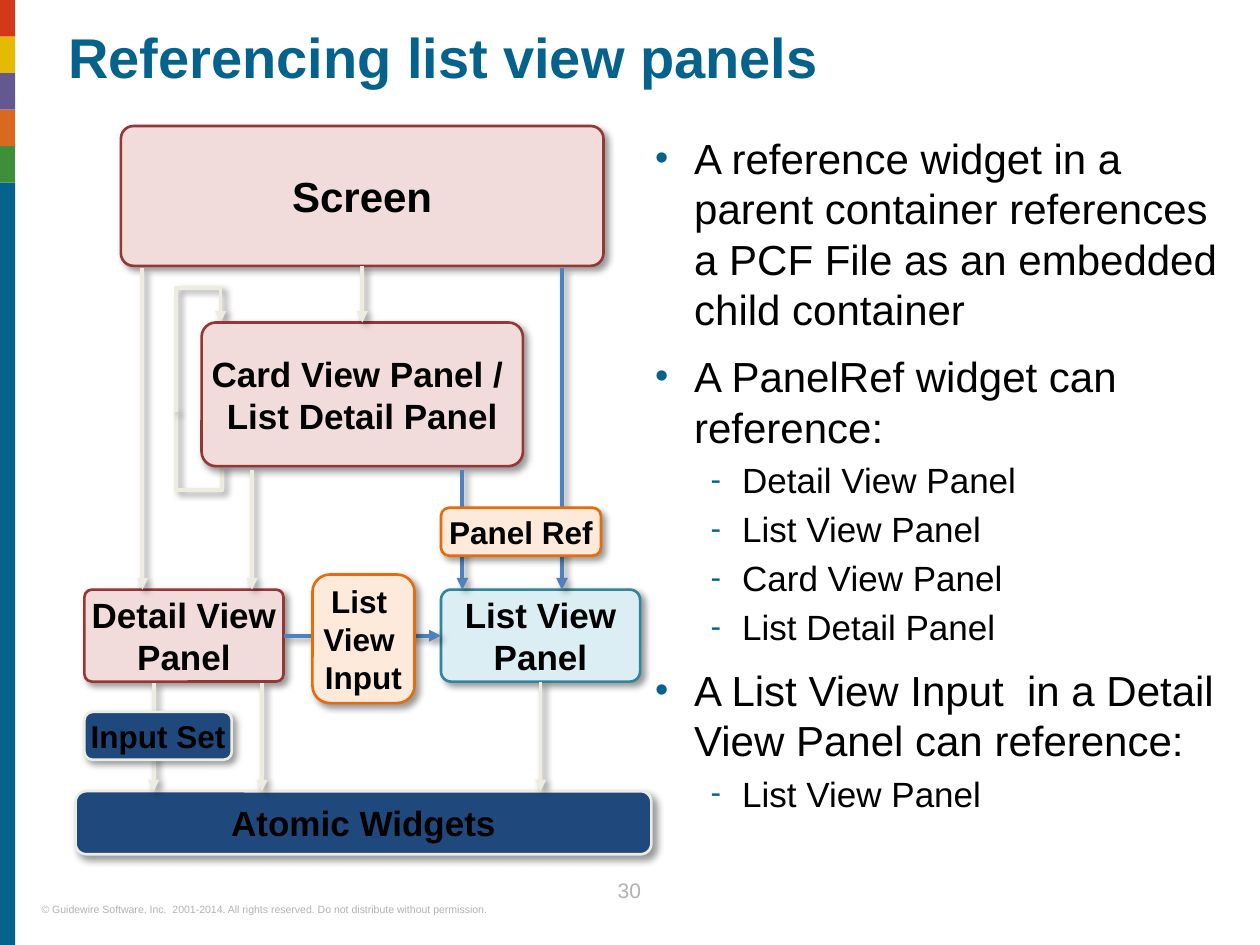
"""Builds the slide on referencing list view panels."""
from dataclasses import dataclass
from typing import Optional

from lxml.etree import SubElement
from pptx import Presentation
from pptx.dml.color import RGBColor
from pptx.enum.shapes import MSO_CONNECTOR as Connector, MSO_SHAPE as Preset
from pptx.enum.text import MSO_ANCHOR as Anchor, PP_ALIGN as Align
from pptx.oxml.ns import qn
from pptx.util import Inches, Pt

SLIDE_WIDTH, SLIDE_HEIGHT = Inches(10), Inches(7.5)
COLUMNS = 100
UNIT = SLIDE_WIDTH // COLUMNS
TOP, LEFT, BOTTOM, RIGHT = range(4)


@dataclass(frozen=True)
class Theme:
    font: str = "Arial"
    accent: str = "04628C"
    text: str = "000000"
    muted: str = "B2B2B2"
    pale: str = "EEECE1"
    blue: str = "4F81BD"
    navy: str = "1F497D"
    pink: str = "F2DCDB"
    red: str = "953735"
    aqua: str = "DBEEF4"
    teal: str = "31859C"
    peach: str = "FDEADA"
    orange: str = "E46C0A"
    stripes: tuple = ("D33819", "E5BA03", "645893", "D8691E", "3F8E39")
    title_size: float = 32
    large: float = 24
    medium: float = 20
    small: float = 18
    number_size: float = 12
    footer_size: float = 6
    box_line: float = 1.5
    arrow_line: float = 2.25


THEME = Theme()


@dataclass(frozen=True)
class Box:
    text: str
    left: float
    top: float
    width: float
    height: float
    fill: str
    line: str
    size: float = THEME.medium
    corner: float = 0.17


@dataclass(frozen=True)
class Arrow:
    start: tuple
    end: tuple
    color: str = THEME.pale
    source: Optional[tuple] = None
    target: Optional[tuple] = None


@dataclass(frozen=True)
class Elbow:
    start: tuple
    end: tuple
    rotation: int
    adjust: float
    arrow: bool


@dataclass(frozen=True)
class Bullet:
    text: str
    level: int = 0


PANELS = {
    "screen": Box("Screen", 9.6, 10, 38.3, 11.1, THEME.pink, THEME.red, THEME.large, 0.09),
    "card": Box("Card View Panel / \nList Detail Panel", 16, 25.6, 25.5, 11.4, THEME.pink, THEME.red, corner=0.1),
    "detail": Box("Detail View\nPanel", 6.7, 46.8, 15.8, 7.3, THEME.pink, THEME.red, corner=0.08),
    "list": Box("List View\nPanel", 35, 46.8, 15.8, 7.3, THEME.aqua, THEME.teal, corner=0.11),
    "atomic": Box("Atomic Widgets", 6, 62.8, 45.7, 5, THEME.navy, THEME.pale),
}
LABELS = (
    Box("Input Set", 6.7, 56.5, 11.7, 3.8, THEME.navy, THEME.pale, THEME.small),
    Box("Panel Ref", 35, 40.3, 12.7, 3.8, THEME.peach, THEME.orange, THEME.small),
    Box("List \nView \nInput", 24.8, 45.6, 8.1, 10.2, THEME.peach, THEME.orange, THEME.small),
)
ARROWS = (
    Arrow((28.8, 21.1), (28.8, 25.6), source=("screen", BOTTOM), target=("card", TOP)),
    Arrow((36.7, 37.3), (36.7, 46.8), THEME.blue),
    Arrow((20, 37.3), (20, 46.8)),
    Arrow((11.3, 21.3), (11.3, 46.8)),
    Arrow((44.6, 21.3), (44.6, 46.8), THEME.blue),
    Arrow((20.8, 54.2), (20.8, 62.8)),
    Arrow((42.9, 54.1), (42.9, 62.8), source=("list", BOTTOM)),
    Arrow((12.2, 54.2), (12.2, 62.8)),
    Arrow((22.5, 50.5), (35, 50.5), THEME.blue, ("detail", RIGHT), ("list", LEFT)),
)
ELBOWS = (
    Elbow((13.6, 36.5), (18, 32.9), 270, -0.46, False),
    Elbow((12.2, 27.4), (19.3, 30.9), 90, -0.39, True),
)
BULLETS = (
    Bullet("A reference widget in a parent container references a PCF File as an embedded child container"),
    Bullet("A PanelRef widget can reference:"),
    Bullet("Detail View Panel", 1),
    Bullet("List View Panel", 1),
    Bullet("Card View Panel", 1),
    Bullet("List Detail Panel", 1),
    Bullet("A List View Input  in a Detail View Panel can reference:"),
    Bullet("List View Panel", 1),
)


def grid(*values: float) -> list:
    """Turn grid units into slide lengths."""
    return [round(value * UNIT) for value in values]


def style(paragraph, size: float, color: str, bold: bool = False) -> None:
    """Set the font of a whole paragraph."""
    font = paragraph.font
    font.name, font.size, font.bold = THEME.font, Pt(size), bold
    font.color.rgb = RGBColor.from_string(color)


def add_shadow(properties) -> None:
    """Give shape properties a soft shadow to the lower right."""
    effects = properties.find(qn("a:effectLst"))
    if effects is None:
        effects = SubElement(properties, qn("a:effectLst"))
    shadow = SubElement(effects, qn("a:outerShdw"), blurRad=str(Pt(4)), dist=str(Pt(3)),
                        dir="2700000", algn="tl", rotWithShape="0")
    color = SubElement(shadow, qn("a:srgbClr"), val=THEME.text)
    SubElement(color, qn("a:alpha"), val="40000")


def add_stripe(slide, top: float, height: float, color: str) -> None:
    """Draw one block of the colour bar at the left edge."""
    shape = slide.shapes.add_shape(Preset.RECTANGLE, *grid(0, top, 1.2, height))
    shape.shadow.inherit = False
    shape.fill.solid()
    shape.fill.fore_color.rgb = RGBColor.from_string(color)
    shape.line.fill.background()


def add_text(slide, area: tuple, inset: float = 0):
    """Add a wrapping text box and return its frame."""
    frame = slide.shapes.add_textbox(*grid(*area)).text_frame
    frame.word_wrap = True
    frame.margin_left = frame.margin_right = 0
    frame.margin_top = frame.margin_bottom = Inches(inset)
    return frame


def add_line(slide, kind, start: tuple, end: tuple, color: str, arrowhead: Optional[str]):
    """Draw a shadowed connector with an optional arrowhead."""
    connector = slide.shapes.add_connector(kind, *grid(*start, *end))
    connector.line.color.rgb = RGBColor.from_string(color)
    connector.line.width = Pt(THEME.arrow_line)
    properties = connector._element.spPr
    if arrowhead:
        SubElement(properties.find(qn("a:ln")), qn(arrowhead), type="triangle")
    add_shadow(properties)
    return connector


def add_elbow(slide, elbow: Elbow) -> None:
    """Draw half of the loop beside the card view panel."""
    head = "a:headEnd" if elbow.arrow else None
    connector = add_line(slide, Connector.ELBOW, elbow.start, elbow.end, THEME.pale, head)
    properties = connector._element.spPr
    properties.find(qn("a:xfrm")).set("rot", str(elbow.rotation * 60000))
    adjustments = properties.find(qn("a:prstGeom")).find(qn("a:avLst"))
    SubElement(adjustments, qn("a:gd"), name="adj1", fmla=f"val {round(elbow.adjust * 100000)}")


def add_arrow(slide, arrow: Arrow, panels: dict) -> None:
    """Draw a straight arrow and join it to its panels."""
    connector = add_line(slide, Connector.STRAIGHT, arrow.start, arrow.end, arrow.color, "a:tailEnd")
    if arrow.source:
        connector.begin_connect(panels[arrow.source[0]], arrow.source[1])
    if arrow.target:
        connector.end_connect(panels[arrow.target[0]], arrow.target[1])


def add_box(slide, box: Box):
    """Draw a rounded, shadowed box with a bold centred label."""
    shape = slide.shapes.add_shape(Preset.ROUNDED_RECTANGLE, *grid(box.left, box.top, box.width, box.height))
    shape.adjustments[0] = box.corner
    shape.fill.solid()
    shape.fill.fore_color.rgb = RGBColor.from_string(box.fill)
    shape.line.color.rgb = RGBColor.from_string(box.line)
    shape.line.width = Pt(THEME.box_line)
    shape.shadow.inherit = False
    add_shadow(shape._element.spPr)
    frame = shape.text_frame
    frame.word_wrap, frame.vertical_anchor = False, Anchor.MIDDLE
    frame.margin_left = frame.margin_right = frame.margin_top = frame.margin_bottom = 0
    paragraph = frame.paragraphs[0]
    paragraph.text, paragraph.alignment = box.text, Align.CENTER
    style(paragraph, box.size, THEME.text, True)
    return shape


def add_bullets(slide) -> None:
    """Write the two-level list on the right."""
    frame = add_text(slide, (52, 10, 44.6, 59.9), 0.05)
    for index, bullet in enumerate(BULLETS):
        paragraph = frame.add_paragraph() if index else frame.paragraphs[0]
        paragraph.text, paragraph.level = bullet.text, bullet.level
        margin, indent, mark, size, gap = ((0.31, -0.31, "•", THEME.large, 9.6),
                                           (0.69, -0.25, "-", THEME.medium, 4))[bullet.level]
        properties = paragraph._p.get_or_add_pPr()
        properties.set("marL", str(Inches(margin)))
        properties.set("indent", str(Inches(indent)))
        SubElement(SubElement(properties, qn("a:buClr")), qn("a:srgbClr"), val=THEME.accent)
        SubElement(properties, qn("a:buSzPct"), val="90000")
        SubElement(properties, qn("a:buFont"), typeface=THEME.font)
        SubElement(properties, qn("a:buChar"), char=mark)
        if index:
            paragraph.space_before = Pt(gap)
        style(paragraph, size, THEME.text)


def add_line_of_text(slide, area: tuple, text: str, size: float, color: str, bold: bool = False, inset: float = 0):
    """Write a single paragraph and return it."""
    paragraph = add_text(slide, area, inset).paragraphs[0]
    paragraph.text = text
    style(paragraph, size, color, bold)
    return paragraph


def main() -> None:
    """Build and save the slide."""
    presentation = Presentation()
    presentation.slide_width, presentation.slide_height = SLIDE_WIDTH, SLIDE_HEIGHT
    slide = presentation.slides.add_slide(presentation.slide_layouts[6])
    add_line_of_text(slide, (3.3, 71.7, 40.2, 1),
                     "© Guidewire Software, Inc.  2001-2014. All rights reserved. Do not distribute without permission.",
                     THEME.footer_size, THEME.muted)
    add_stripe(slide, 14.5, 60.5, THEME.accent)
    for row, color in enumerate(THEME.stripes):
        add_stripe(slide, row * 2.9, 2.9, color)
    number = add_line_of_text(slide, (47.1, 70.8, 5.7, 2.5), "30", THEME.number_size, THEME.muted)
    number.alignment, number.line_spacing = Align.CENTER, Pt(6.3)
    for elbow in ELBOWS:
        add_elbow(slide, elbow)
    add_line_of_text(slide, (5.4, 1.3, 91, 8.1), "Referencing list view panels",
                     THEME.title_size, THEME.accent, True, 0.05)
    add_bullets(slide)
    panels = {name: add_box(slide, box) for name, box in PANELS.items()}
    for arrow in ARROWS:
        add_arrow(slide, arrow, panels)
    for label in LABELS:
        add_box(slide, label)


    presentation.save("out.pptx")


if __name__ == "__main__":
    main()
